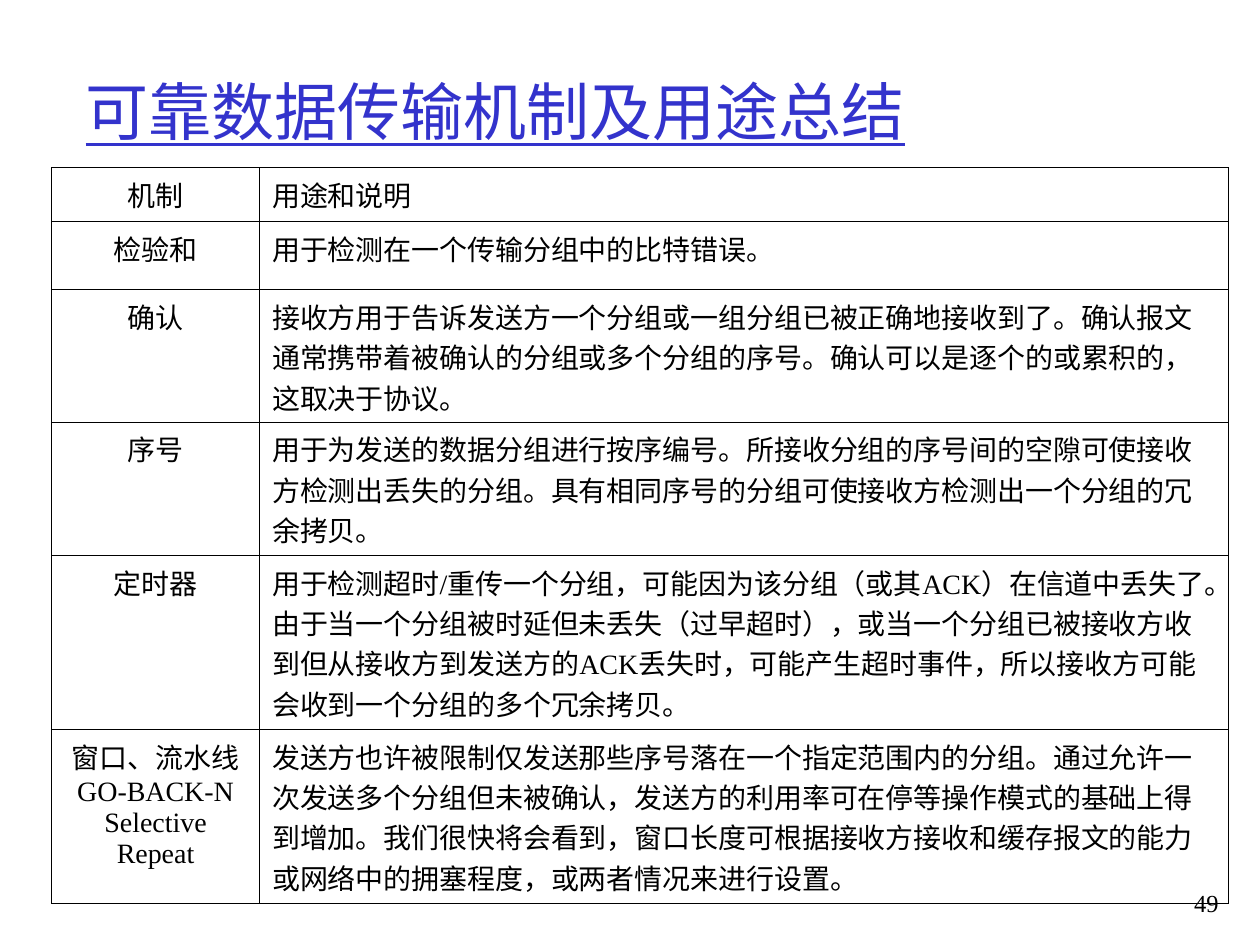
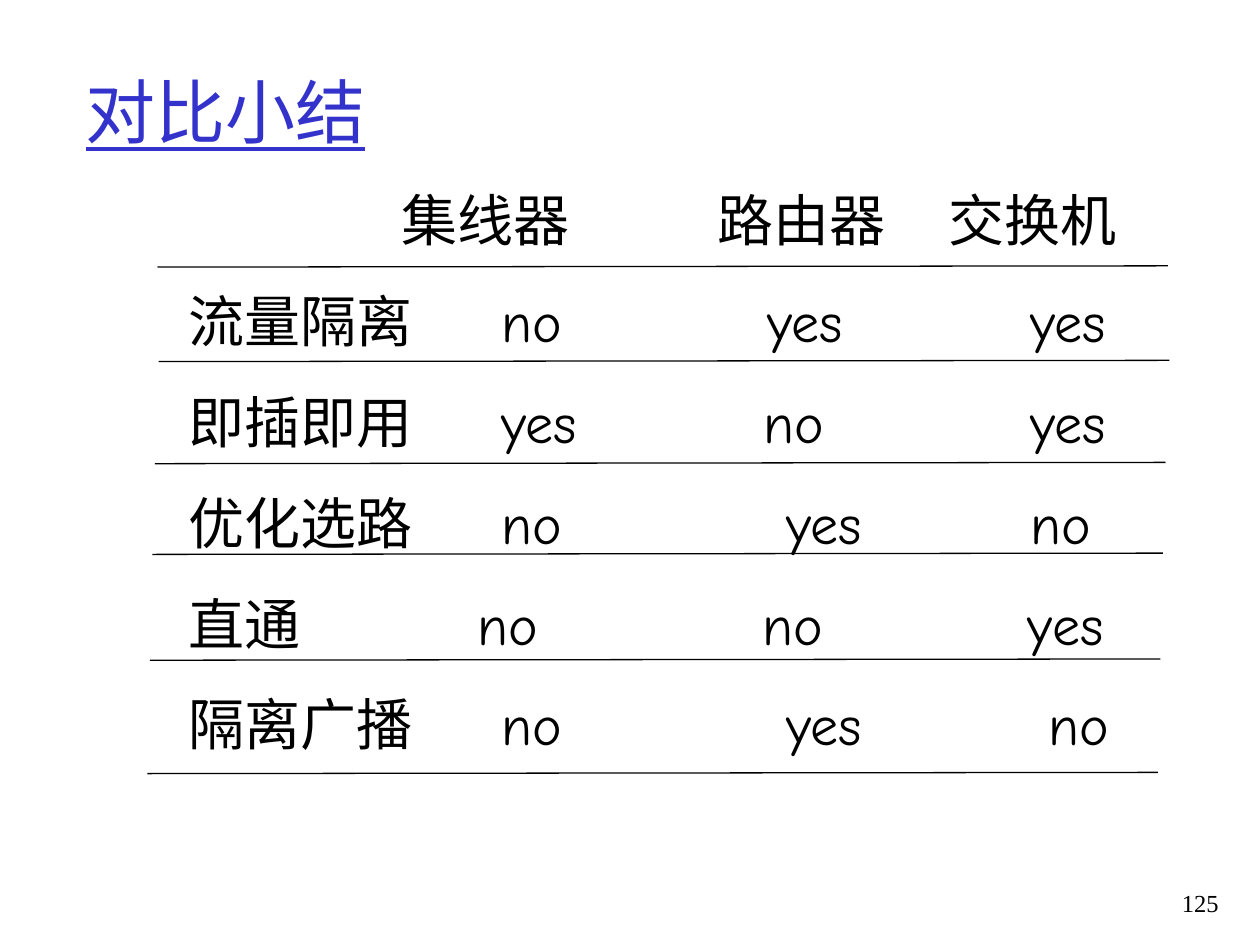
import pptx
import pptx.dml.color
import pptx.enum.lang
import pptx.enum.shapes
import pptx.enum.text
import pptx.oxml.ns
import pptx.util
from lxml import etree

Inches = pptx.util.Inches
Pt = pptx.util.Pt
qn = pptx.oxml.ns.qn
ALIGN = pptx.enum.text.PP_ALIGN

TITLE_BLUE = pptx.dml.color.RGBColor(0x33, 0x33, 0xCC)
BLACK = pptx.dml.color.RGBColor(0, 0, 0)
SERIF = "Times New Roman"
HAND = "Comic Neue"


def style_text(frame, font_name, size, color, align=ALIGN.LEFT, underline=None):
    for paragraph in frame.paragraphs:
        paragraph.alignment = align
        for run in paragraph.runs:
            run.font.name = font_name
            run.font.size = Pt(size)
            run.font.color.rgb = color
            run.font.underline = underline
            run.font.language_id = pptx.enum.lang.MSO_LANGUAGE_ID.SIMPLIFIED_CHINESE


def start_slide(heading, heading_size, number):
    """Add a slide with its underlined title and page number."""
    slide = deck.slides.add_slide(deck.slide_layouts[5])
    title = slide.shapes.title
    title.left, title.top = Inches(0.58), Inches(0.25)
    title.width, title.height = Inches(8.5), Inches(1.25)
    title.text_frame.text = heading
    title.text_frame.auto_size = pptx.enum.text.MSO_AUTO_SIZE.NONE
    title.text_frame.vertical_anchor = pptx.enum.text.MSO_ANCHOR.MIDDLE
    style_text(title.text_frame, SERIF, heading_size, TITLE_BLUE, underline=True)

    page = slide.shapes.add_textbox(Inches(9.09), Inches(7), Inches(0.68), Inches(0.5))
    page.text_frame.word_wrap = True
    page.text_frame.text = number
    style_text(page.text_frame, SERIF, 14, BLACK, ALIGN.RIGHT)
    return slide


deck = pptx.Presentation()
deck.slide_width, deck.slide_height = Inches(10), Inches(7.5)

# Reliable transfer mechanisms
slide = start_slide("可靠数据传输机制及用途总结", 36, "49")

mechanisms = [
    (0.43, "机制", "用途和说明"),
    (0.54, "检验和", "用于检测在一个传输分组中的比特错误。"),
    (1.05, "确认",
     "接收方用于告诉发送方一个分组或一组分组已被正确地接收到了。确认报文通常携带着"
     "被确认的分组或多个分组的序号。确认可以是逐个的或累积的，这取决于协议。"),
    (1.06, "序号",
     "用于为发送的数据分组进行按序编号。所接收分组的序号间的空隙可使接收方检测出丢失的分组。"
     "具有相同序号的分组可使接收方检测出一个分组的冗余拷贝。"),
    (1.38, "定时器",
     "用于检测超时/重传一个分组，可能因为该分组（或其ACK）在信道中丢失了。"
     "由于当一个分组被时延但未丢失（过早超时），或当一个分组已被接收方收到但从接收方到发送方的"
     "ACK丢失时，可能产生超时事件，所以接收方可能会收到一个分组的多个冗余拷贝。"),
    (1.38, "窗口、流水线\nGO-BACK-N\nSelective Repeat",
     "发送方也许被限制仅发送那些序号落在一个指定范围内的分组。通过允许一次发送多个分组但未被确认，"
     "发送方的利用率可在停等操作模式的基础上得到增加。我们很快将会看到，"
     "窗口长度可根据接收方接收和缓存报文的能力或网络中的拥塞程度，或两者情况来进行设置。"),
]
summary = slide.shapes.add_table(len(mechanisms), 2, Inches(0.41), Inches(1.33),
                                 Inches(9.34), Inches(5.84)).table
summary.first_row = summary.horz_banding = False
summary.columns[0].width, summary.columns[1].width = Inches(1.65), Inches(7.69)

for row, (height, *texts) in enumerate(mechanisms):
    summary.rows[row].height = Inches(height)
    for column, text in enumerate(texts):
        cell = summary.cell(row, column)
        cell.text_frame.text = text
        style_text(cell.text_frame, SERIF, 16, BLACK, (ALIGN.CENTER, ALIGN.LEFT)[column])
        properties = cell._tc.get_or_add_tcPr()
        for side in ("a:lnL", "a:lnR", "a:lnT", "a:lnB"):
            border = etree.SubElement(properties, qn(side), w=str(Pt(0.4)))
            fill = etree.SubElement(border, qn("a:solidFill"))
            etree.SubElement(fill, qn("a:srgbClr"), val=str(BLACK))
        cell.fill.background()

# Device comparison
slide = start_slide("对比小结", 40, "125")

# Each row: its words and the tab stops of the three device columns
comparison = [
    (("", "集线器", "路由器", "交换机"), (1.69, 4.2, 6.03)),
    (("流量隔离", "no", "yes", "yes"), (2.48, 4.59, 6.68)),
    (("即插即用", "yes", "no", "yes"), (2.48, 4.56, 6.68)),
    (("优化选路", "no", "yes", "no"), (2.48, 4.74, 6.68)),
    (("直通", "no", "no", "yes"), (2.29, 4.55, 6.66)),
    (("隔离广播", "no", "yes", "no"), (2.48, 4.74, 6.82)),
]
devices = slide.shapes.add_textbox(Inches(1.4), Inches(1.16), Inches(7.6), Inches(4.9))
devices.text_frame.word_wrap = True
devices.text_frame.text = "\n".join("\t".join(words) for words, stops in comparison)
for paragraph, (words, stops) in zip(devices.text_frame.paragraphs, comparison):
    paragraph.line_spacing = 1.5
    tabs = etree.SubElement(paragraph._p.get_or_add_pPr(), qn("a:tabLst"))
    for stop in stops:
        etree.SubElement(tabs, qn("a:tab"), pos=str(Inches(stop)), algn="l")
style_text(devices.text_frame, HAND, 32, BLACK)

rules = [(1.25, 2.12), (1.26, 2.87), (1.23, 3.68), (1.21, 4.4), (1.19, 5.24), (1.17, 6.14)]
for left, top in rules:
    rule = slide.shapes.add_connector(
        pptx.enum.shapes.MSO_CONNECTOR.STRAIGHT,
        Inches(left), Inches(top), Inches(left + 8.02), Inches(top - 0.01))
    rule.line.color.rgb = BLACK
    rule.line.width = Pt(0.75)
    etree.SubElement(rule._element.spPr, qn("a:effectLst"))

deck.save("out.pptx")
